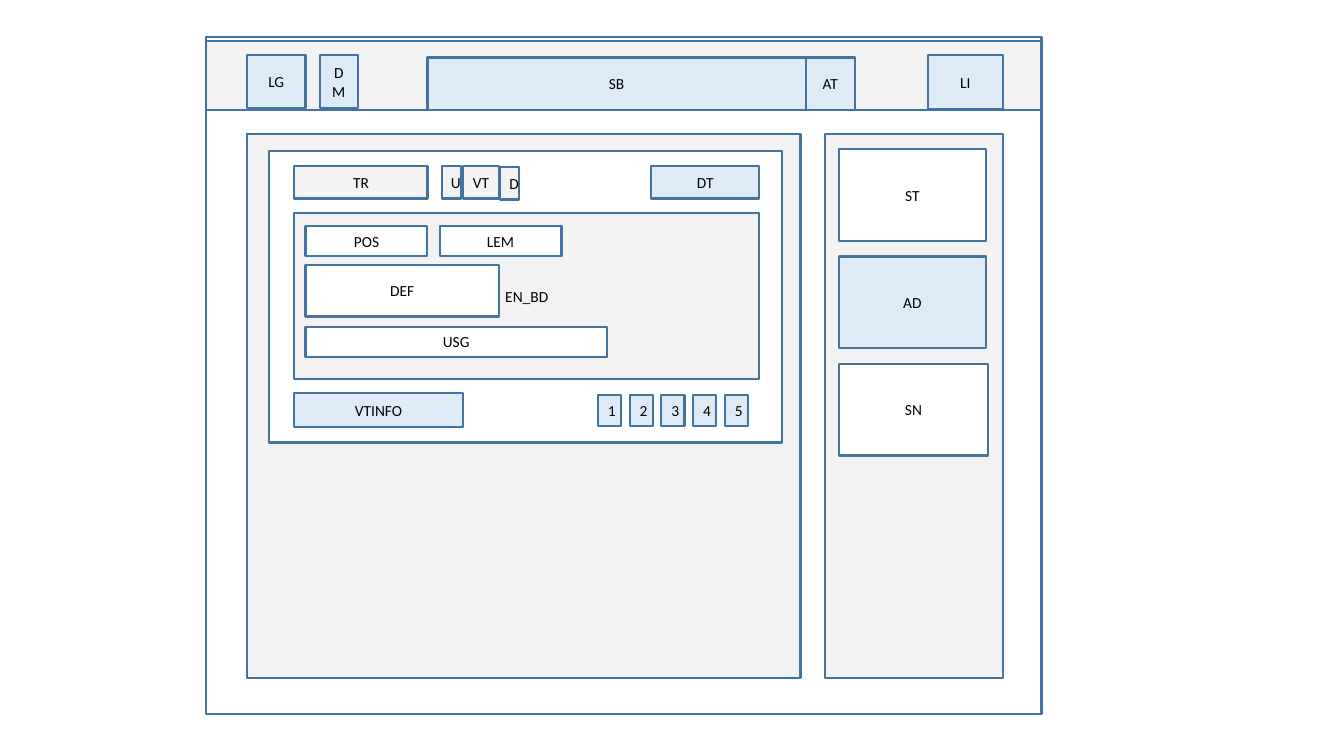
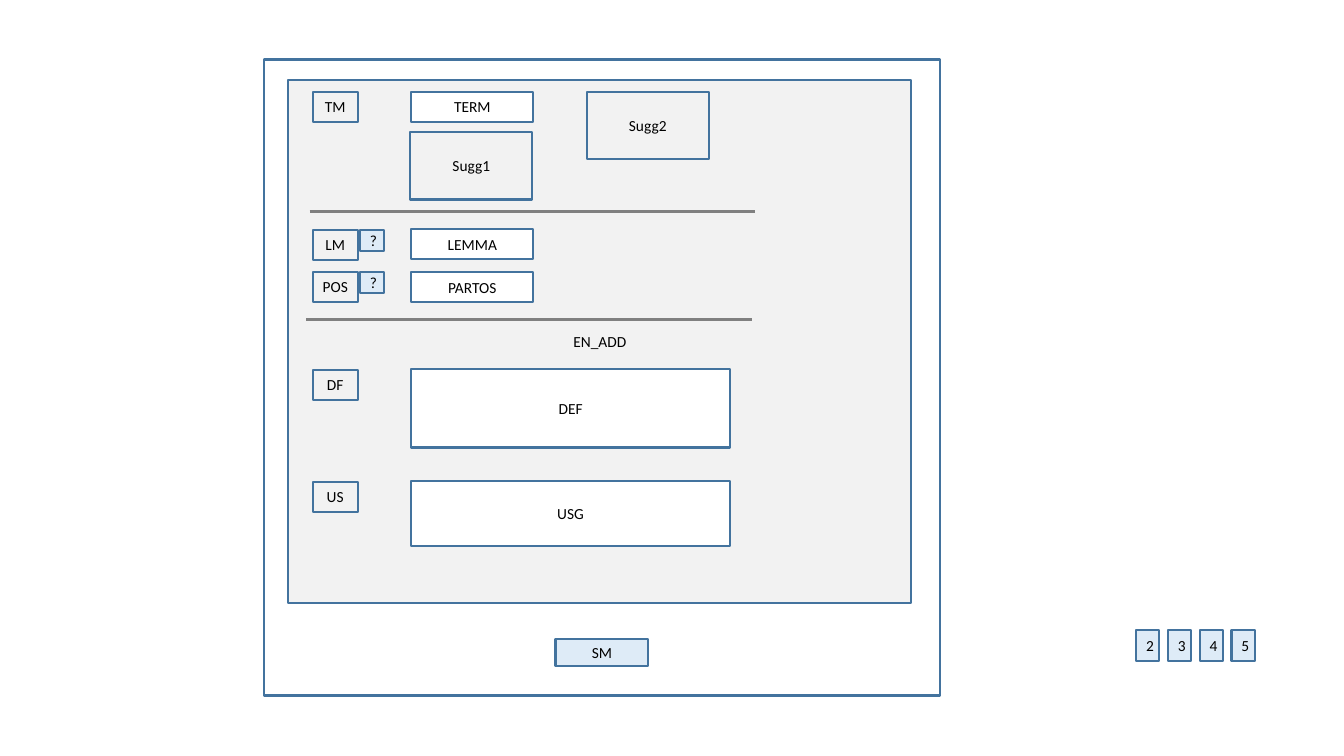
"""Wireframes of a glossary: the entry list and the form for a new entry."""
from dataclasses import dataclass

from lxml import etree
from pptx import Presentation
from pptx import util as u
from pptx.dml.color import RGBColor
from pptx.enum import shapes, text
from pptx.oxml.ns import qn

COLORS = {
    "page": "FFFFFF",
    "panel": "F2F2F2",
    "action": "DEEBF7",
    "border": "43739E",
    "rule": "808080",
    "ink": "000000",
}
FONT, FONT_SIZE = "Calibri", 11
COLUMNS, ROWS = 1333, 750
CELL = u.Inches(7.5) / ROWS
KEY_PITCH = 31.5


@dataclass
class Box:
    """A rectangle in columns and rows of the slide grid."""
    left: float
    top: float
    width: float
    height: float

    def inner(self, left, top, width, height):
        """Return a box placed relative to this one."""
        return Box(self.left + left, self.top + top, width, height)


def color(name):
    """Return a named colour of the palette."""
    return RGBColor.from_string(COLORS[name])


def cells(*counts):
    """Turn grid counts into slide lengths."""
    return [u.Emu(round(count * CELL)) for count in counts]


def draw_block(page, box, fill, label="", anchor=text.MSO_ANCHOR.MIDDLE):
    """Draw one bordered rectangle with an optional label; return its box."""
    block = page.shapes.add_shape(
        shapes.MSO_SHAPE.RECTANGLE,
        *cells(box.left, box.top, box.width, box.height))
    block.shadow.inherit = False
    block.fill.solid()
    block.fill.fore_color.rgb = color(fill)
    block.line.color.rgb = color("border")
    block.line.width = u.Pt(1.5)
    if label:
        frame = block.text_frame
        frame.word_wrap = True
        frame.vertical_anchor = anchor
        para = frame.paragraphs[0]
        para.text = label
        para.alignment = text.PP_ALIGN.CENTER
        para.font.name = FONT
        para.font.size = u.Pt(FONT_SIZE)
        para.font.color.rgb = color("ink")
    return box


def draw_blocks(page, box, blocks):
    """Draw labelled blocks given as (label, fill, left, top, width, height)."""
    for label, fill, *place in blocks:
        draw_block(page, box.inner(*place), fill, label)


def draw_rule(page, box, left, top, length):
    """Draw a horizontal grey divider inside the box."""
    start, end, height = cells(box.left + left, box.left + left + length,
                               box.top + top)
    rule = page.shapes.add_connector(
        shapes.MSO_CONNECTOR.STRAIGHT, start, height, end, height)
    rule.line.color.rgb = color("rule")
    rule.line.width = u.Pt(2.25)
    etree.SubElement(rule._element.spPr, qn("a:effectLst"))


def draw_keys(page, first, labels):
    """Draw a row of small numbered keys, starting with the first box."""
    for index, label in enumerate(labels):
        key = first.inner(index * KEY_PITCH, 0, first.width, first.height)
        draw_block(page, key, "action", label)


def draw_header(page, box):
    """Draw the top band with logo, menu, search and login."""
    draw_block(page, box, "panel")
    draw_blocks(page, box, [
        ("SB", "action", 220, 16, 375, 52),
        ("AT", "action", 595, 16, 49, 52),
        ("LG", "action", 41, 14, 58, 52),
        ("DM", "action", 113, 14, 38, 52),
        ("LI", "action", 716, 14, 75, 53),
    ])


def draw_entry(page, box):
    """Draw one glossary entry: title row, body and action row."""
    draw_block(page, box, "page")
    draw_blocks(page, box, [
        ("TR", "panel", 25, 15, 132, 32),
        ("VT", "panel", 192, 15, 36, 32),
        ("U", "panel", 171, 15, 19, 32),
        ("D", "panel", 229, 16, 19, 32),
        ("DT", "action", 379, 15, 107, 32),
        ("VTINFO", "action", 25, 240, 167, 34),
    ])
    draw_keys(page, box.inner(326, 242, 23, 31), "12345")
    body = draw_block(page, box.inner(25, 61, 461, 165), "panel", "EN_BD")
    draw_blocks(page, body, [
        ("POS", "page", 11, 13, 121, 30),
        ("LEM", "page", 144, 13, 121, 30),
        ("DEF", "page", 11, 52, 192, 51),
        ("USG", "page", 11, 113, 299, 30),
    ])


def draw_sidebar(page, box):
    """Draw the right column with three stacked blocks."""
    draw_block(page, box, "panel")
    blocks = [("ST", "page", 146), ("AD", "action", 146), ("SN", "page", 148)]
    for index, (label, fill, width) in enumerate(blocks):
        place = box.inner(14, 15 + index * 106.5, width, 91)
        draw_block(page, place, fill, label)


def draw_form(page, box):
    """Draw the entry form: tags, fields, help marks, suggestions, dividers."""
    draw_block(page, box, "panel", "EN_ADD")
    rows = [
        ("TM", 12, "TERM", 12, 121, 30),
        ("LM", 149, "LEMMA", 148, 121, 30),
        ("POS", 191, "PARTOS", 191, 121, 30),
        ("DF", 288, "DEF", 287, 316, 78),
        ("US", 399, "USG", 398, 316, 65),
    ]
    for tag, tag_top, field, top, width, height in rows:
        draw_block(page, box.inner(24, tag_top, 45, 30), "panel", tag,
                   text.MSO_ANCHOR.TOP)
        draw_block(page, box.inner(122, top, width, height), "page", field)
    draw_blocks(page, box, [
        ("?", "action", 71, 149, 24, 21),
        ("?", "action", 71, 191, 24, 21),
        ("Sugg1", "panel", 121, 52, 121, 67),
        ("Sugg2", "panel", 296, 12, 121, 67),
    ])
    draw_rule(page, box, 21, 131, 442)
    draw_rule(page, box, 18, 238, 442)


def build_list_page(page, box):
    """Build the entry list: header, entries and sidebar in one frame."""
    draw_block(page, box, "page")
    draw_header(page, box.inner(0, 4, box.width, 68))
    entries = draw_block(page, box.inner(41, 96, 549, 540), "panel")
    draw_entry(page, entries.inner(22, 17, 509, 289))
    draw_sidebar(page, box.inner(614, 96, 177, 540))


def build_form_page(page, box):
    """Build the form window with its submit button and the spare keys."""
    draw_block(page, box, "page")
    draw_form(page, box.inner(24, 20, 618, 519))
    draw_blocks(page, box, [("SM", "action", 289, 575, 92, 27)])
    draw_keys(page, box.inner(865, 566, 23, 31), "2345")


def main():
    """Create the deck and save it."""
    deck = Presentation()
    deck.slide_width, deck.slide_height = cells(COLUMNS, ROWS)
    blank = deck.slide_layouts[6]
    build_list_page(deck.slides.add_slide(blank), Box(204, 37, 829, 671))
    build_form_page(deck.slides.add_slide(blank), Box(262, 59, 670, 631))
    deck.save("out.pptx")


main()
